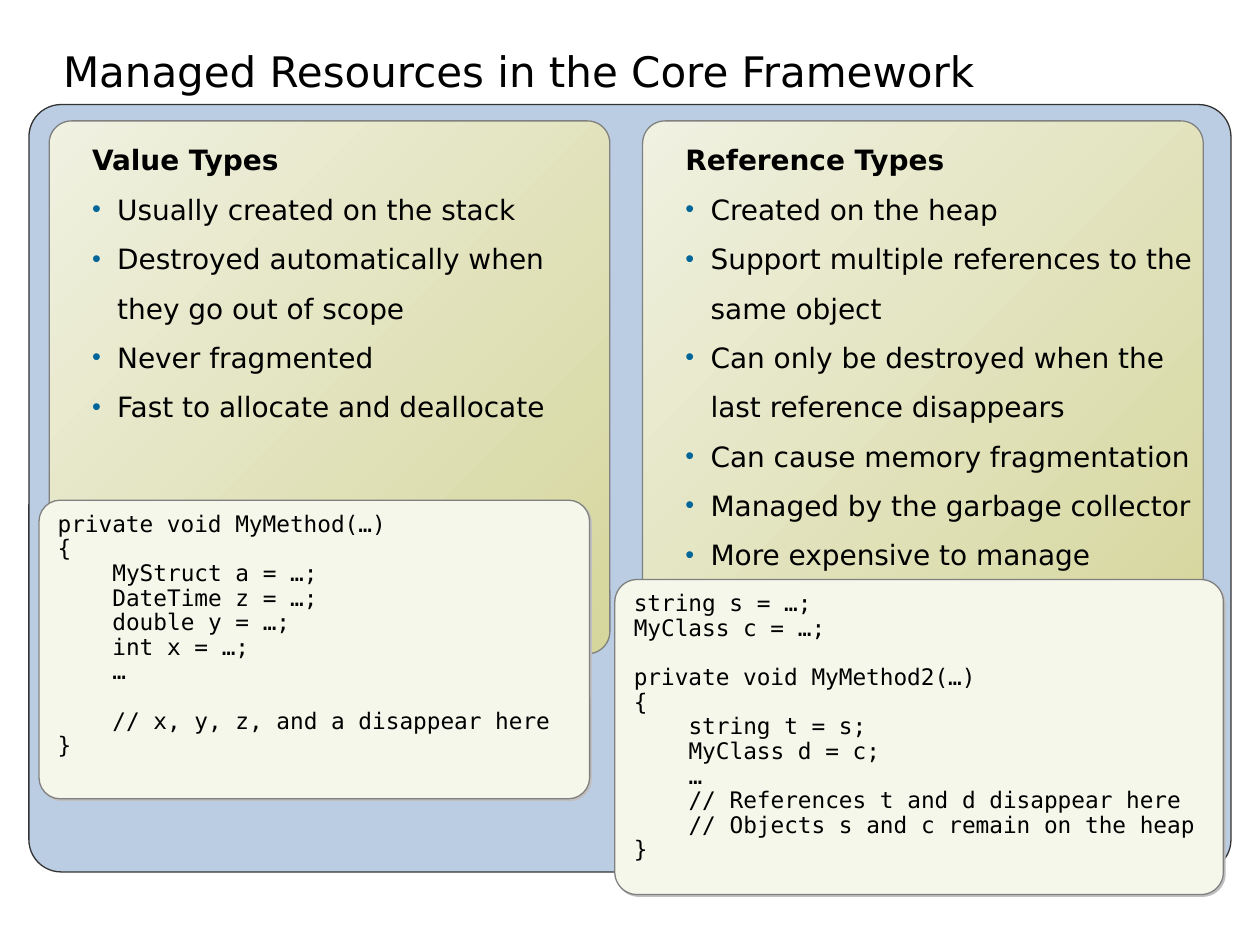
from lxml.etree import SubElement
from pptx import Presentation
from pptx.dml.color import RGBColor
from pptx.enum.shapes import MSO_SHAPE
from pptx.enum.text import MSO_ANCHOR, MSO_AUTO_SIZE, PP_ALIGN
from pptx.oxml import parse_xml
from pptx.oxml.ns import nsdecls, qn
from pptx.util import Inches, Pt

BLACK = RGBColor(0x00, 0x00, 0x00)
BACKDROP = RGBColor(0xBB, 0xCD, 0xE3)
BACKDROP_LINE = RGBColor(0x33, 0x33, 0x33)
GRAY = RGBColor(0x80, 0x80, 0x80)
CARD_LIGHT = RGBColor(0xF0, 0xF1, 0xE1)
CARD_DARK = RGBColor(0xD5, 0xD6, 0x9C)
CODE_FILL = RGBColor(0xF6, 0xF7, 0xEB)
BULLET = RGBColor(0x00, 0x66, 0x99)
SHADOW = RGBColor(0xC0, 0xC0, 0xC0)

deck = Presentation()
deck.slide_width = Inches(10)
deck.slide_height = Inches(7.5)
column = deck.slide_width / 100
row = deck.slide_height / 75
page = deck.slides.add_slide(deck.slide_layouts[3])
title, *bodies = page.placeholders


def add_panel(left, top, width, height, rounding, line_color):
    panel = page.shapes.add_shape(
        MSO_SHAPE.ROUNDED_RECTANGLE,
        int(left * column), int(top * row), int(width * column), int(height * row),
    )
    panel.adjustments[0] = rounding
    panel.shadow.inherit = False
    panel.line.color.rgb = line_color
    panel.line.width = Pt(0.75)
    return panel


def add_text(para, text, font, size, spacing, bold=False):
    para.alignment = PP_ALIGN.LEFT
    para.line_spacing = spacing
    para.space_before = para.space_after = Pt(0)
    span = para.add_run()
    span.text = text
    span.font.name = font
    span.font.size = Pt(size)
    span.font.bold = bold
    span.font.color.rgb = BLACK


title.left, title.top = int(5 * column), 0
title.width, title.height = int(85 * column), int(8.1 * row)
frame = title.text_frame
frame.auto_size = MSO_AUTO_SIZE.NONE
frame.vertical_anchor = MSO_ANCHOR.BOTTOM
frame.margin_left = 0
add_text(frame.paragraphs[0], "Managed Resources in the Core Framework", "DejaVu Sans", 24, 0.85)

backdrop = add_panel(2.3, 8.3, 95.4, 60.9, 0.042, BACKDROP_LINE)
backdrop.fill.solid()
backdrop.fill.fore_color.rgb = BACKDROP

cards = [
    (3.9, "Value Types", [
        "Usually created on the stack",
        "Destroyed automatically when they go out of scope",
        "Never fragmented",
        "Fast to allocate and deallocate",
    ]),
    (51, "Reference Types", [
        "Created on the heap",
        "Support multiple references to the same object",
        "Can only be destroyed when the last reference disappears",
        "Can cause memory fragmentation",
        "Managed by the garbage collector",
        "More expensive to manage",
    ]),
]
for body, (left, heading, points) in zip(bodies, cards):
    card = add_panel(left, 9.6, 44.5, 42.3, 0.042, GRAY)
    card.fill.gradient()
    card.fill.gradient_angle = 315
    for stop, color in zip(card.fill.gradient_stops, (CARD_LIGHT, CARD_DARK)):
        stop.color.rgb = color

    page.shapes._spTree.append(body._element)
    body.left, body.top, body.width, body.height = card.left, card.top, card.width, card.height
    frame = body.text_frame
    frame.auto_size = MSO_AUTO_SIZE.NONE
    frame.vertical_anchor = MSO_ANCHOR.TOP
    frame.word_wrap = True
    frame.margin_left = frame.margin_top = frame.margin_right = int(column / 2)
    frame.margin_bottom = int(column)
    for index, text in enumerate([heading, *points]):
        para = frame.add_paragraph() if index else frame.paragraphs[0]
        add_text(para, text, "DejaVu Sans", 16, 1.47, bold=index == 0)
        properties = para._p.get_or_add_pPr()
        properties.set("marL", str(int(4.9 * column)))
        properties.set("indent", str(int(-2 * column)))
        if index:
            bullet_color = SubElement(properties, qn("a:buClr"))
            SubElement(bullet_color, qn("a:srgbClr"), val=str(BULLET))
            SubElement(properties, qn("a:buSzPct"), val="90000")
            SubElement(properties, qn("a:buChar"), char="•")
        else:
            SubElement(properties, qn("a:buNone"))

code_boxes = [
    ((3.1, 39.7, 43.7, 23.7), [
        [(0, "private void MyMethod(…)"), (0, "{"), (1, "MyStruct a = …;"),
         (1, "DateTime z = …;"), (1, "double y = …;"), (1, "int x = …;"), (1, "…")],
        [(1, "// x, y, z, and a disappear here"), (0, "}")],
    ]),
    ((48.8, 46, 48.3, 25), [
        [(0, "string s = …;"), (0, "MyClass c = …;")],
        [(0, "private void MyMethod2(…)"), (0, "{"), (1, "string t = s;"),
         (1, "MyClass d = c;"), (1, "…"), (1, "// References t and d disappear here"),
         (1, "// Objects s and c remain on the heap"), (0, "}")],
    ]),
]
for area, blocks in code_boxes:
    box = add_panel(*area, 0.071, GRAY)
    box.fill.solid()
    box.fill.fore_color.rgb = CODE_FILL
    effects = box._element.spPr.find(qn("a:effectLst"))
    effects.append(parse_xml(
        f'<a:outerShdw {nsdecls("a")} dist="{Pt(1.4)}" dir="2700000" algn="ctr" rotWithShape="0">'
        f'<a:srgbClr val="{SHADOW}"/></a:outerShdw>'
    ))
    frame = box.text_frame
    frame.word_wrap = True
    frame.vertical_anchor = MSO_ANCHOR.TOP
    for block_index, block in enumerate(blocks):
        for line_index, (level, text) in enumerate(block):
            first = block_index == line_index == 0
            para = frame.paragraphs[0] if first else frame.add_paragraph()
            add_text(para, text, "DejaVu Sans Mono", 13, 0.9)
            para._p.get_or_add_pPr().set("marL", str(int(level * 4.35 * column)))
            if block_index and line_index == 0:
                para.space_before = Pt(14)

deck.save("out.pptx")
